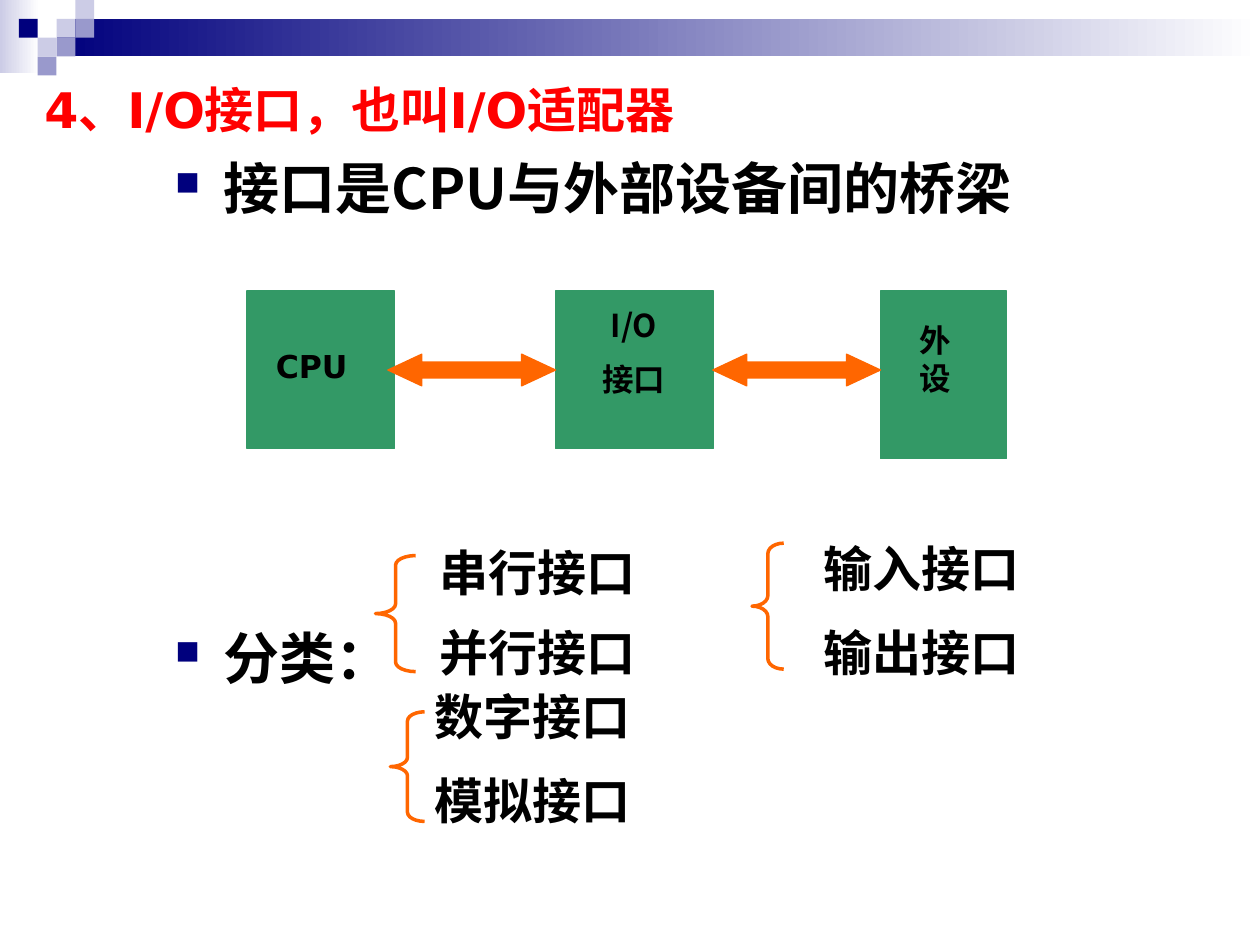
from lxml.etree import SubElement
from pptx import Presentation
from pptx.dml.color import RGBColor
from pptx.enum.shapes import MSO_SHAPE as Shape
from pptx.enum.text import MSO_ANCHOR as Anchor, MSO_AUTO_SIZE as AutoSize, PP_ALIGN as Align
from pptx.oxml.ns import qn
from pptx.util import Cm, Pt

COLORS = {
    "navy": "00007D", "mid": "9999CC", "pale": "CCCCE6", "white": "FFFFFF",
    "red": "FF0000", "black": "000000", "green": "339966", "orange": "FF6600",
}
SANS, CJK = "DejaVu Sans", "Noto Sans CJK SC"

TITLE = "4、I/O接口，也叫I/O适配器"
TITLE_PLACE = (0.64, 1.47, 14.6, 1.45)
BULLETS = ["接口是CPU与外部设备间的桥梁", "分类："]
BULLETS_PLACE = (3.28, 2.97, 21.26, 3.07)
BULLET_GAP, BULLET_INDENT = 230, 0.97  # the gap leaves room for the diagram

# Left, top, width, height in centimetres
GRADIENTS = [((0, 0, 0.79, 1.47), "pale"), ((1.14, 0.38, 24.26, 0.76), "navy")]
TILE = 0.38
TILES = [  # column, row, colour
    (3, 1, "pale"), (4, 0, "pale"), (4, 1, "mid"), (2, 2, "pale"),
    (1, 1, "navy"), (3, 2, "mid"), (2, 3, "mid"),
]
BLOCKS = [(4.98, 5.87, 2.97, 3.18), (11.2, 5.87, 3.18, 3.18), (17.75, 5.87, 2.54, 3.38)]
BLOCK_LABELS = [  # lines, place, font, alignment
    (["CPU"], (5.31, 6.88, 2.31, 1.27), SANS, Align.LEFT),
    (["I/O", "接口"], (11.51, 6.05, 2.54, 2.79), CJK, Align.CENTER),
    (["外设"], (18.29, 6.35, 1.63, 2.29), SANS, Align.LEFT),
]
LABEL_GAP = 9
ARROW_TOP, ARROW_WIDTH, ARROW_HEIGHT = 7.14, 3.38, 0.64
KINDS = [  # lines, place, space between, line spacing, brace place, brace curve
    (["串行接口", "并行接口"], (8.61, 10.82, 5.99, 4.09), 5, 1.2,
     (7.57, 11.2, 0.81, 2.34), 0.24),
    (["数字接口", "模拟接口"], (8.51, 13.72, 6.78, 3.23), 14, 1,
     (7.87, 14.35, 0.69, 2.21), 0.27),
    (["输入接口", "输出接口"], (16.36, 10.74, 4.8, 3.23), 14, 1,
     (15.16, 10.95, 0.64, 2.54), 0.33),
]


def rgb(name):
    return RGBColor.from_string(COLORS[name])


def add_outline(slide, kind, place, adjustments=()):
    """Add a preset shape without shadow; fill and line are left to the caller."""
    shape = slide.shapes.add_shape(kind, *map(Cm, place))
    shape.shadow.inherit = False
    for index, value in enumerate(adjustments):
        shape.adjustments[index] = value
    return shape


def add_filled(slide, kind, place, color, adjustments=(), line=True):
    shape = add_outline(slide, kind, place, adjustments)
    shape.fill.solid()
    shape.fill.fore_color.rgb = rgb(color)
    if line:
        shape.line.color.rgb = rgb(color)
        shape.line.width = Pt(0.75)
    else:
        shape.line.fill.background()


def add_gradient(slide, place, color):
    bar = add_outline(slide, Shape.RECTANGLE, place)
    bar.line.fill.background()
    bar.fill.gradient()
    bar.fill.gradient_angle = 0
    for stop, name, position in zip(bar.fill.gradient_stops, (color, "white"), (0, 1)):
        stop.color.rgb = rgb(name)
        stop.position = position


def add_brace(slide, place, curve):
    brace = add_outline(slide, Shape.LEFT_BRACE, place, (curve, 0.5))
    brace.fill.background()
    brace.line.color.rgb = rgb("orange")
    brace.line.width = Pt(2)


def add_bullet(para):
    props = para._p.get_or_add_pPr()
    props.set("marL", str(Cm(BULLET_INDENT)))
    props.set("indent", str(-Cm(BULLET_INDENT)))
    color = SubElement(props, qn("a:buClr"))
    SubElement(color, qn("a:srgbClr"), val=COLORS["navy"])
    SubElement(props, qn("a:buSzPct"), val="60000")
    SubElement(props, qn("a:buChar"), char="■")


def set_font(para, face, size, color="black"):
    """Set a bold font for both Latin and East Asian text."""
    font = para.font
    font.name, font.size, font.bold = face, Pt(size), True
    font.color.rgb = rgb(color)
    SubElement(para._p.pPr.find(qn("a:defRPr")), qn("a:ea"), typeface=face)


def add_text(slide, lines, place, face, size, gap, align=Align.LEFT, spacing=1, bullets=False):
    frame = slide.shapes.add_textbox(*map(Cm, place)).text_frame
    frame.word_wrap = True
    for index, line in enumerate(lines):
        para = frame.add_paragraph() if index else frame.paragraphs[0]
        para.text = line
        para.alignment = align
        if index:
            para.line_spacing = spacing
            para.space_before = Pt(gap)
        if bullets:
            add_bullet(para)
        set_font(para, face, size)


def set_title(slide):
    title = slide.shapes.title
    title.left, title.top, title.width, title.height = map(Cm, TITLE_PLACE)
    frame = title.text_frame
    frame.text = TITLE
    frame.word_wrap = False
    frame.margin_right = 0
    frame.auto_size = AutoSize.NONE
    frame.vertical_anchor = Anchor.TOP
    para = frame.paragraphs[0]
    para.alignment = Align.LEFT
    set_font(para, SANS, 28, "red")


def main():
    deck = Presentation()
    deck.slide_width, deck.slide_height = Cm(25.4), Cm(19.05)
    slide = deck.slides.add_slide(deck.slide_layouts[5])

    for place, color in GRADIENTS:
        add_gradient(slide, place, color)
    for column, row, color in TILES:
        place = (column * TILE, row * TILE, TILE, TILE)
        add_filled(slide, Shape.RECTANGLE, place, color, line=False)

    set_title(slide)
    add_text(slide, BULLETS, BULLETS_PLACE, CJK, 32, BULLET_GAP, bullets=True)

    for place in BLOCKS:
        add_filled(slide, Shape.RECTANGLE, place, "green")
    for lines, place, face, align in BLOCK_LABELS:
        add_text(slide, lines, place, face, 18, LABEL_GAP, align)
    for left, *_ in BLOCKS[1:]:
        place = (left - ARROW_WIDTH, ARROW_TOP, ARROW_WIDTH, ARROW_HEIGHT)
        add_filled(slide, Shape.LEFT_RIGHT_ARROW, place, "orange", (0.5, 1.07))

    for lines, place, gap, spacing, brace_place, curve in KINDS:
        add_text(slide, lines, place, SANS, 28, gap, spacing=spacing)
        add_brace(slide, brace_place, curve)

    deck.save("out.pptx")


if __name__ == "__main__":
    main()
